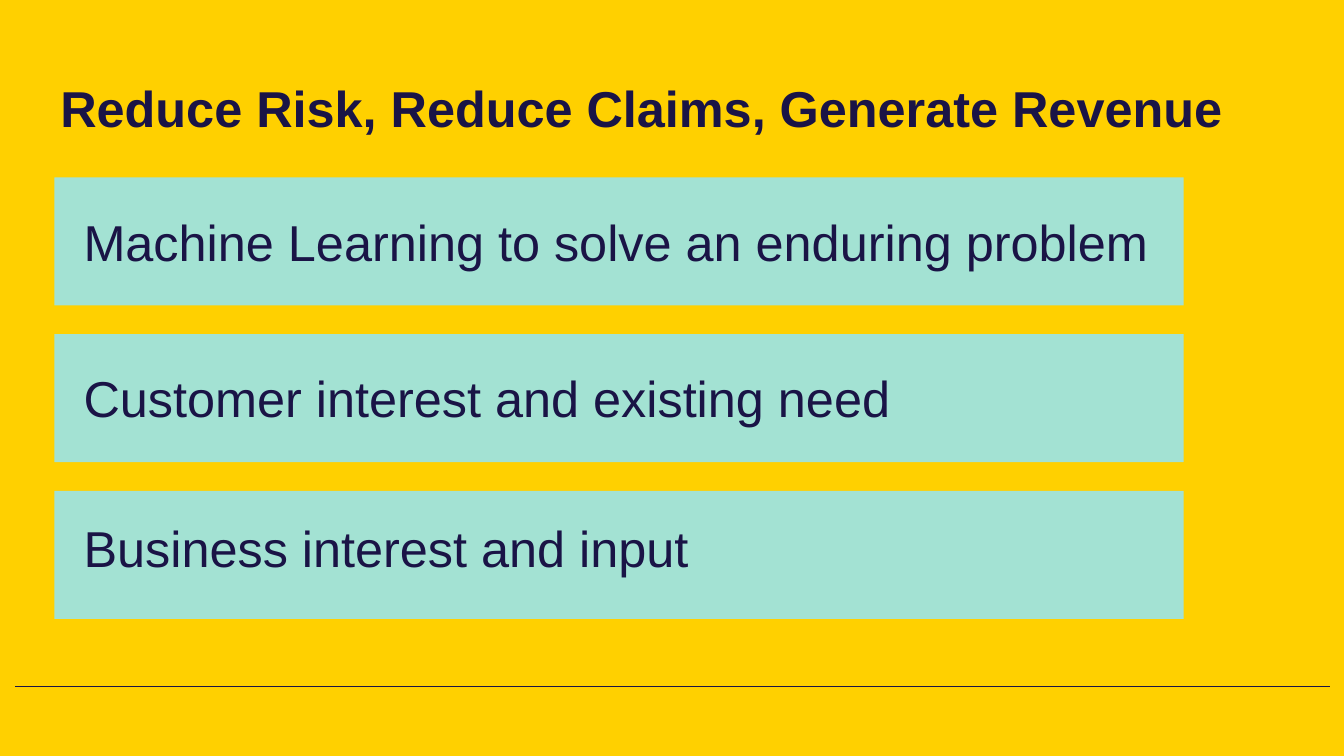
from lxml import etree
from pptx import Presentation
from pptx.dml.color import RGBColor
from pptx.enum.shapes import MSO_CONNECTOR, MSO_SHAPE
from pptx.enum.text import MSO_ANCHOR
from pptx.oxml.ns import qn
from pptx.util import Inches, Pt

TITLE = "Reduce Risk, Reduce Claims, Generate Revenue"
# Text of each bar, and its offset below the top of the bar
POINTS = [
    ("Machine Learning to solve an enduring problem", 0.28),
    ("Customer interest and existing need", 0.28),
    ("Business interest and input", 0.21),
]

YELLOW = RGBColor(0xFF, 0xD0, 0x00)
NAVY = RGBColor(0x1A, 0x14, 0x46)
AQUA = RGBColor(0x99, 0xE5, 0xEA)
RECT = MSO_SHAPE.RECTANGLE
STRAIGHT = MSO_CONNECTOR.STRAIGHT
TOP, MIDDLE = MSO_ANCHOR.TOP, MSO_ANCHOR.MIDDLE

BAR_LEFT, BAR_TOP, BAR_WIDTH, BAR_HEIGHT = 0.54, 1.76, 11.2, 1.27
PITCH = 1.555
RULE_LEFT, RULE_RIGHT, RULE_TOP = 0.15, 13.19, 6.81


def add_text(slide, text, box, bold=False, anchor=TOP, spacing=1.0):
    frame = slide.shapes.add_textbox(*map(Inches, box)).text_frame
    frame.word_wrap = True
    frame.vertical_anchor = anchor
    line = frame.paragraphs[0]
    line.text = text
    line.line_spacing = spacing
    font = line.runs[0].font
    font.name, font.size, font.bold = "Arial", Pt(36), bold
    font.color.rgb = NAVY


def add_bar(slide, top):
    bar = slide.shapes.add_shape(
        RECT, *map(Inches, (BAR_LEFT, top, BAR_WIDTH, BAR_HEIGHT)))
    bar.shadow.inherit = False
    bar.line.fill.background()
    bar.fill.solid()
    bar.fill.fore_color.rgb = AQUA
    color = bar.fill._xPr.find(".//" + qn("a:srgbClr"))
    etree.SubElement(color, qn("a:alpha"), val="90000")


def add_rule(slide):
    rule = slide.shapes.add_connector(
        STRAIGHT, *map(Inches, (RULE_LEFT, RULE_TOP, RULE_RIGHT, RULE_TOP)))
    rule.line.color.rgb = NAVY
    rule.line.width = Pt(1)
    etree.SubElement(rule._element.spPr, qn("a:effectLst"))


def main():
    deck = Presentation()
    deck.slide_width, deck.slide_height = Inches(13.33), Inches(7.5)
    slide = deck.slides.add_slide(deck.slide_layouts[6])
    slide.background.fill.solid()
    slide.background.fill.fore_color.rgb = YELLOW

    add_rule(slide)
    add_text(slide, TITLE, (0.5, 0.44, 12.83, 1.32),
             bold=True, anchor=MIDDLE, spacing=0.9)
    for i, (text, drop) in enumerate(POINTS):
        top = BAR_TOP + i * PITCH
        add_bar(slide, top)
        add_text(slide, text, (0.73, top + drop, 11.91, 0.71))

    deck.save("out.pptx")


if __name__ == "__main__":
    main()
